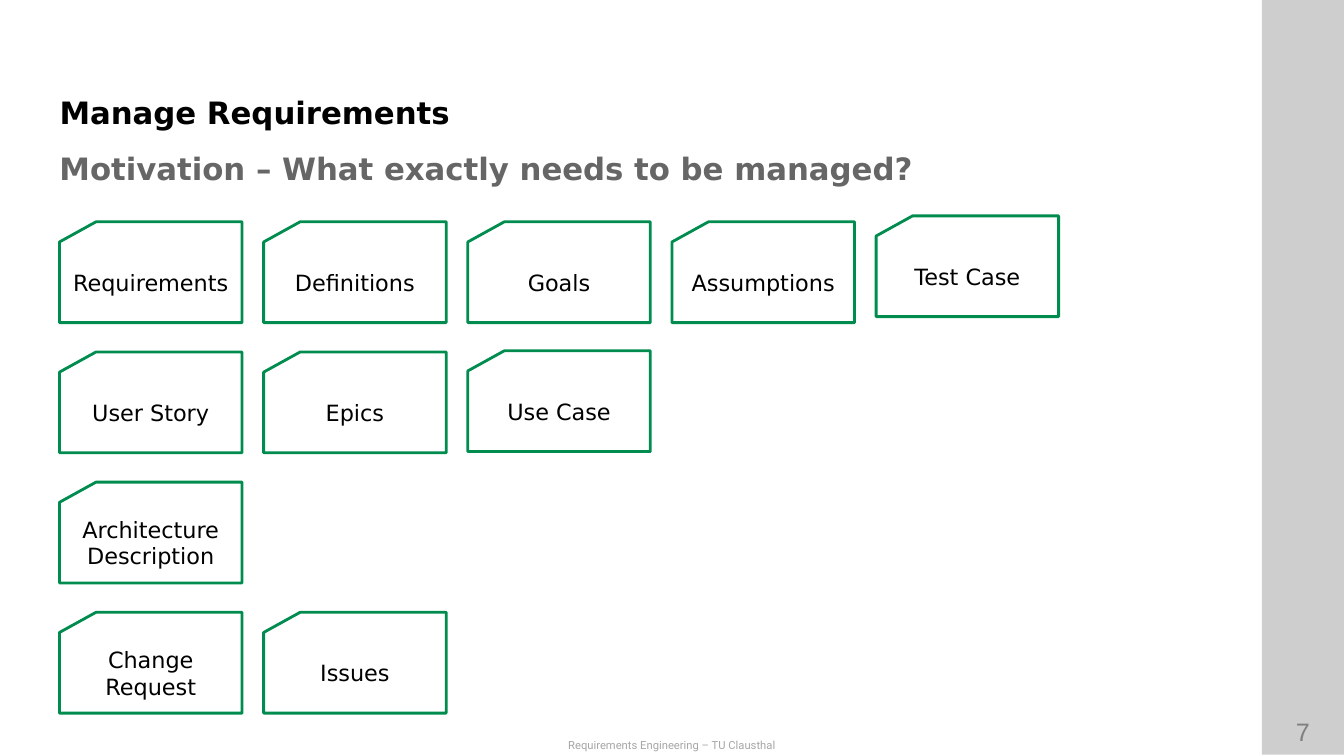
from dataclasses import dataclass

from pptx import Presentation
from pptx.dml.color import RGBColor
from pptx.enum.shapes import MSO_SHAPE
from pptx.enum.text import MSO_ANCHOR, MSO_AUTO_SIZE, PP_ALIGN
from pptx.util import Cm, Pt

CARD, BAR = MSO_SHAPE.FLOWCHART_CARD, MSO_SHAPE.RECTANGLE
TOP, MIDDLE, BOTTOM = MSO_ANCHOR.TOP, MSO_ANCHOR.MIDDLE, MSO_ANCHOR.BOTTOM
LEFT, CENTER = PP_ALIGN.LEFT, PP_ALIGN.CENTER
NO_AUTOFIT = MSO_AUTO_SIZE.NONE
TITLE_ONLY = 5


@dataclass(frozen=True)
class TextStyle:
    font: str
    size: int
    color: str
    bold: bool = False


@dataclass(frozen=True)
class Theme:
    heading = TextStyle("DejaVu Sans", 22, "000000", True)
    subheading = TextStyle("DejaVu Sans", 22, "666666", True)
    card = TextStyle("DejaVu Sans", 16, "000000")
    page_number = TextStyle("Arial", 18, "808080")
    footer = TextStyle("Roboto", 8, "A6A6A6")
    card_fill = "FFFFFF"
    card_line = "008C4F"
    card_line_width = 2
    sidebar = "CECECE"


THEME = Theme()

ARTIFACT_ROWS = [
    ["Requirements", "Definitions", "Goals", "Assumptions", "Test Case"],
    ["User Story", "Epics", "Use Case"],
    ["Architecture Description"],
    ["Change Request", "Issues"],
]
# Cards that sit slightly above their row, in cm
RAISED = {"Test Case": 0.15, "Use Case": 0.03}


def rgb(value):
    return RGBColor.from_string(value)


def place(shape, left, top, width, height):
    shape.left, shape.top = Cm(left), Cm(top)
    shape.width, shape.height = Cm(width), Cm(height)


def write(shape, text, style, align=CENTER, anchor=TOP, inset=None):
    """Fill a shape with one styled line; inset in cm replaces the default margins."""
    frame = shape.text_frame
    frame.word_wrap = True
    frame.auto_size = NO_AUTOFIT
    frame.vertical_anchor = anchor
    if inset is not None:
        frame.margin_left = frame.margin_right = Cm(inset)
        frame.margin_top = frame.margin_bottom = Cm(inset)
    paragraph = frame.paragraphs[0]
    paragraph.alignment = align
    run = paragraph.add_run()
    run.text = text
    run.font.name = style.font
    run.font.size = Pt(style.size)
    run.font.bold = style.bold
    run.font.color.rgb = rgb(style.color)


def add_text(slide, box, text, style, **layout):
    write(slide.shapes.add_textbox(*map(Cm, box)), text, style, **layout)


def add_sidebar(slide, left, top, width, height, number):
    bar = slide.shapes.add_shape(BAR, *map(Cm, (left, top, width, height)))
    bar.shadow.inherit = False
    bar.fill.solid()
    bar.fill.fore_color.rgb = rgb(THEME.sidebar)
    bar.line.fill.background()
    number_box = (left, top + height - 1.09, width, 1.02)
    add_text(slide, number_box, number, THEME.page_number)


def add_headings(slide, left, top, width, height, heading, subheading):
    """Put the title above the subtitle, each taking 45 % of the height."""
    line_height = height * 0.45
    title = slide.shapes.title
    place(title, left, top, width, line_height)
    write(title, heading, THEME.heading, align=LEFT, anchor=BOTTOM, inset=0)
    subtitle_box = (left, top + height - line_height, width, line_height)
    add_text(slide, subtitle_box, subheading, THEME.subheading,
             align=LEFT, anchor=MIDDLE, inset=0)


def add_card(slide, left, top, width, height, artifact):
    card = slide.shapes.add_shape(CARD, *map(Cm, (left, top, width, height)))
    card.shadow.inherit = False
    card.fill.solid()
    card.fill.fore_color.rgb = rgb(THEME.card_fill)
    card.line.color.rgb = rgb(THEME.card_line)
    card.line.width = Pt(THEME.card_line_width)
    write(card, artifact, THEME.card, anchor=MIDDLE)


def add_card_grid(slide, left, top, width, height, rows):
    card_width, card_height = 4.6, 2.54
    column_step = (width - card_width) / (max(map(len, rows)) - 1)
    row_step = (height - card_height) / (len(rows) - 1)
    for row, artifacts in enumerate(rows):
        for column, artifact in enumerate(artifacts):
            card_top = top + row * row_step - RAISED.get(artifact, 0)
            add_card(slide, left + column * column_step, card_top,
                     card_width, card_height, artifact)


def main():
    deck = Presentation()
    deck.slide_width, deck.slide_height = Cm(33.87), Cm(19.05)
    slide = deck.slides.add_slide(deck.slide_layouts[TITLE_ONLY])
    add_sidebar(slide, 31.8, 0, 2.07, 19.02, "7")
    add_text(slide, (0, 18.47, 33.87, 0.58),
             "Requirements Engineering – TU Clausthal", THEME.footer)
    add_headings(slide, 1.5, 2, 28.78, 2.9, "Manage Requirements",
                 "Motivation – What exactly needs to be managed?")
    add_card_grid(slide, 1.5, 5.59, 25.18, 12.38, ARTIFACT_ROWS)
    deck.save("out.pptx")


if __name__ == "__main__":
    main()
